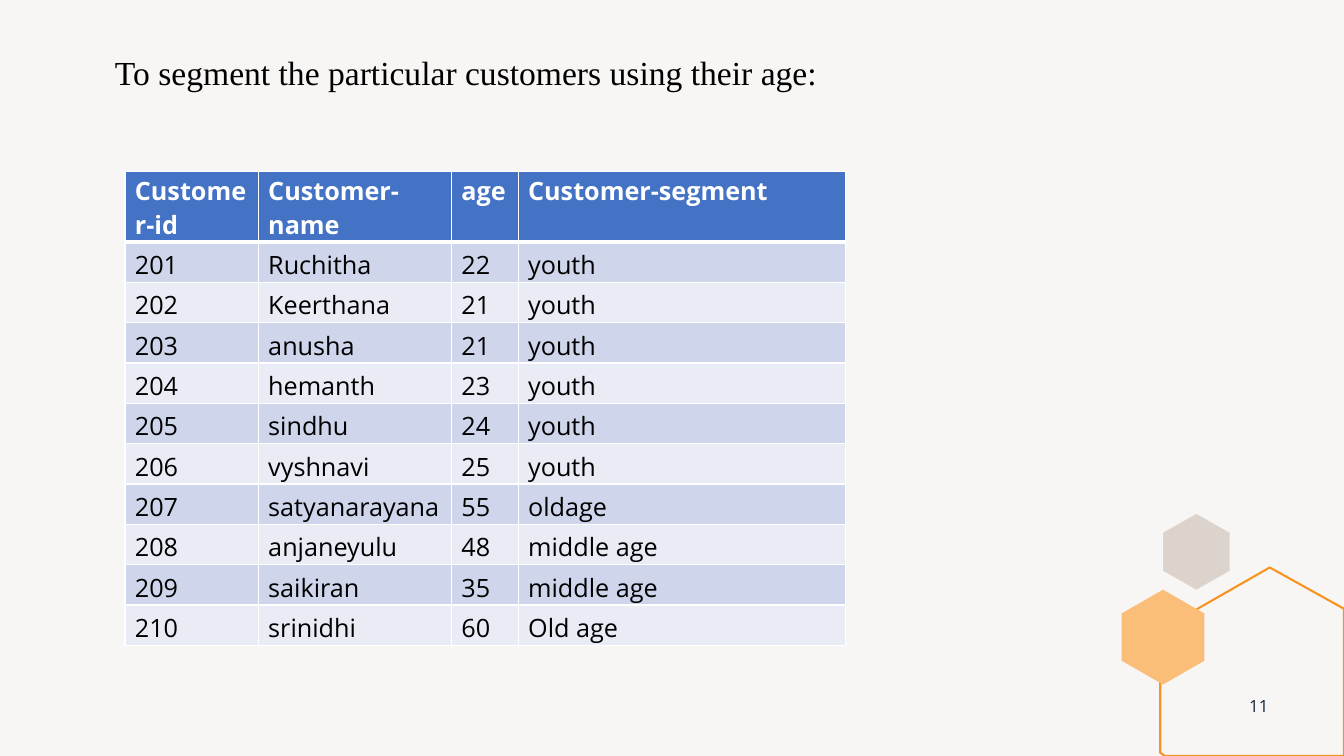
from lxml.etree import SubElement
from pptx import Presentation
from pptx.dml.color import RGBColor
from pptx.enum.text import MSO_ANCHOR as Anchor, MSO_AUTO_SIZE as AutoSize, PP_ALIGN as Align
from pptx.oxml.ns import qn
from pptx.util import Cm, Pt

PAPER = RGBColor(0xF8, 0xF6, 0xF5)
STONE = RGBColor(0xDC, 0xD3, 0xCC)
ORANGE = RGBColor(0xF7, 0x93, 0x20)
APRICOT = RGBColor(0xFA, 0xBE, 0x79)
NAVY = RGBColor(0x0F, 0x25, 0x3E)
BLACK = RGBColor(0, 0, 0)
WHITE = RGBColor(0xFF, 0xFF, 0xFF)
HEADER_BLUE = RGBColor(0x44, 0x72, 0xC4)
BANDS = (RGBColor(0xCF, 0xD5, 0xEA), RGBColor(0xE9, 0xEB, 0xF5))

HEADER = ("Customer-id", "Customer-name", "age", "Customer-segment")
CUSTOMERS = (
    ("Ruchitha", 22, "youth"),
    ("Keerthana", 21, "youth"),
    ("anusha", 21, "youth"),
    ("hemanth", 23, "youth"),
    ("sindhu", 24, "youth"),
    ("vyshnavi", 25, "youth"),
    ("satyanarayana", 55, "oldage"),
    ("anjaneyulu", 48, "middle age"),
    ("saikiran", 35, "middle age"),
    ("srinidhi", 60, "Old age"),
)
FIRST_ID = 201


def set_all(target, values):
    for name, value in values.items():
        setattr(target, name, value)


class SlideBuilder:
    body_font = "Open Sans"
    title_font = "Times New Roman"

    def __init__(self, page):
        self.page = page
        page.background.fill.solid()
        page.background.fill.fore_color.rgb = PAPER

    def add_span(self, frame, text, size, color, font=body_font, bold=False, align=Align.LEFT):
        para = frame.paragraphs[0]
        para.alignment = align
        span = para.add_run()
        span.text = text
        set_all(span.font, {"name": font, "size": Pt(size), "bold": bold})
        span.font.color.rgb = color

    def text(self, area, text, frame_format, **style):
        box = self.page.shapes.add_textbox(*map(Cm, area))
        set_all(box.text_frame, {"word_wrap": True, **frame_format})
        self.add_span(box.text_frame, text, align=Align.CENTER, **style)

    def polygon(self, points, fill=None, line=None):
        corners = [(Cm(x), Cm(y)) for x, y in points]
        outline = self.page.shapes.build_freeform(*corners[0])
        outline.add_line_segments(corners[1:], close=True)
        shape = outline.convert_to_shape()
        shape.shadow.inherit = False
        for target, color in ((shape.fill, fill), (shape.line.fill, line)):
            if color is None:
                target.background()
            else:
                target.solid()
                target.fore_color.rgb = color
        if line is not None:
            shape.line.width = Pt(1.5)

    def hexagon(self, left, top, width, height, fill):
        middle, right = left + width / 2, left + width
        upper, lower = top + height / 4, top + height * 3 / 4
        self.polygon([(middle, top), (right, upper), (right, lower),
                      (middle, top + height), (left, lower), (left, upper)], fill=fill)

    def border(self, cell, **widths):
        properties = cell._tc.get_or_add_tcPr()
        for side in "LRTB":
            line = SubElement(properties, qn(f"a:ln{side}"), w=str(int(Pt(widths.get(side, 1)))))
            paint = SubElement(line, qn("a:solidFill"))
            SubElement(paint, qn("a:srgbClr"), val=str(WHITE))

    def table(self, area, rows, widths, header_height):
        frame = self.page.shapes.add_table(len(rows), len(widths), *map(Cm, area))
        table = frame.table
        for column, width in zip(table.columns, widths):
            column.width = Cm(width)
        row_height = (area[3] - header_height) / (len(rows) - 1)
        for index, values in enumerate(rows):
            is_header = index == 0
            table.rows[index].height = Cm(header_height if is_header else row_height)
            for column, value in enumerate(values):
                cell = table.cell(index, column)
                # Heavy rule between the header and the first customer
                self.border(cell, **{0: {"B": 3}, 1: {"T": 3}}.get(index, {}))
                cell.fill.solid()
                cell.fill.fore_color.rgb = HEADER_BLUE if is_header else BANDS[(index - 1) % 2]
                set_all(cell, {
                    "margin_left": Cm(0.25), "margin_right": Cm(0.25),
                    "margin_top": Cm(0.05 if is_header else 0.13), "margin_bottom": 0,
                    "vertical_anchor": Anchor.TOP if is_header else Anchor.MIDDLE,
                })
                self.add_span(cell.text_frame, str(value), 18,
                              WHITE if is_header else BLACK, bold=is_header)


deck = Presentation()
set_all(deck, {"slide_width": Cm(33.87), "slide_height": Cm(19.05)})
builder = SlideBuilder(deck.slides.add_slide(deck.slide_layouts[6]))

# Corner decoration
builder.hexagon(29.31, 12.95, 1.68, 1.91, STONE)
builder.polygon([(32, 14.3), (33.87, 15.34), (33.87, 19.05),
                 (29.36, 19.05), (29.24, 18.97), (29.24, 15.88)], line=ORANGE)
builder.hexagon(28.27, 14.86, 2.08, 2.39, APRICOT)

# Page number
builder.text((31.09, 17.27, 1.27, 1.02), "11",
             {"vertical_anchor": Anchor.MIDDLE, "margin_left": 0, "margin_right": 0},
             size=12, color=NAVY)

# Title
builder.text((1.04, 1.19, 21.41, 1.27), "To segment the particular customers using their age:",
             {"auto_size": AutoSize.SHAPE_TO_FIT_TEXT},
             size=24, color=BLACK, font=SlideBuilder.title_font)

# Customer table
customer_rows = [(number, *customer) for number, customer in enumerate(CUSTOMERS, FIRST_ID)]
builder.table((3.15, 4.32, 18.16, 11.94), [HEADER, *customer_rows],
              widths=(3.36, 4.87, 1.68, 8.25), header_height=1.78)

deck.save("out.pptx")
